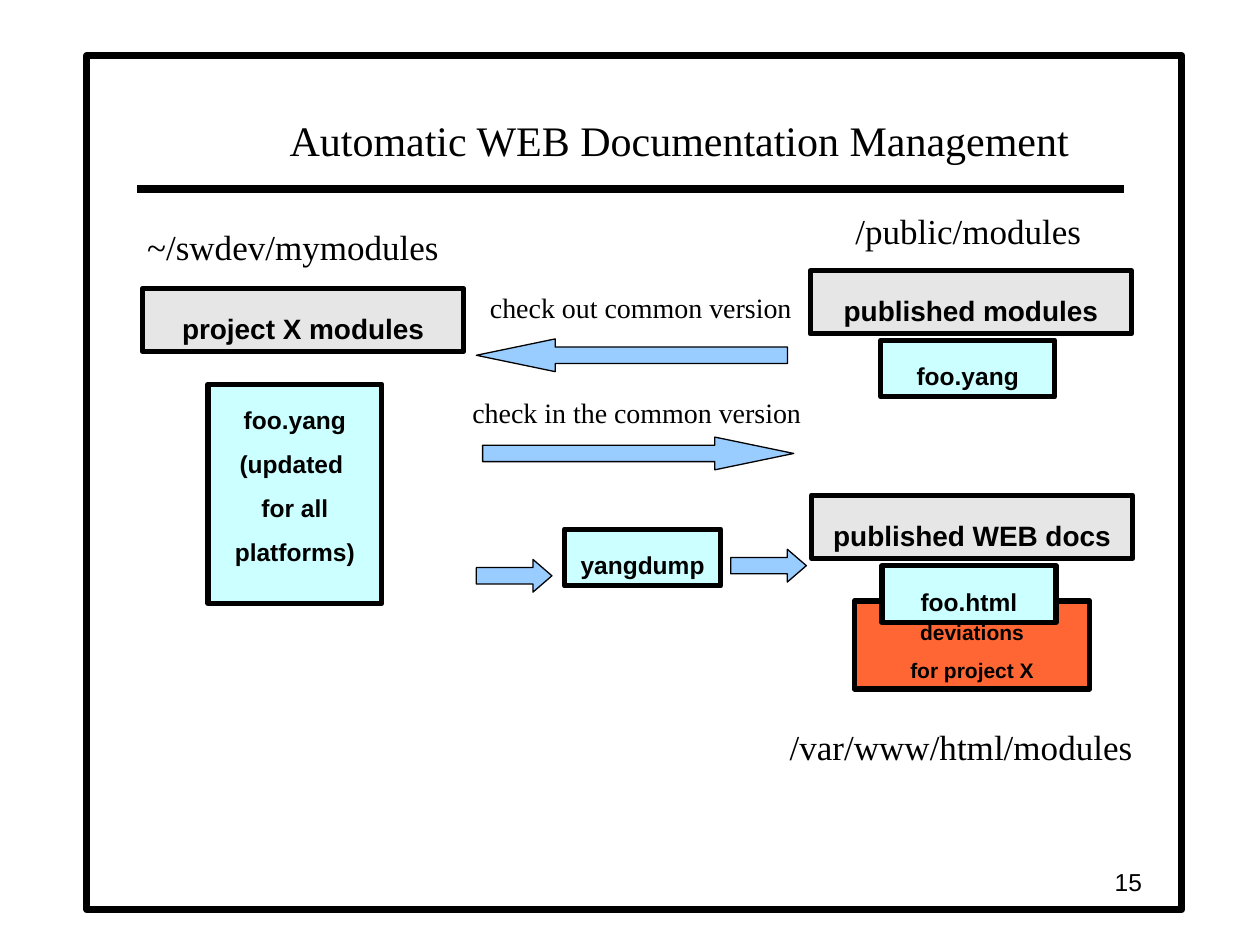
from lxml.etree import SubElement
from pptx import Presentation
from pptx.dml.color import RGBColor
from pptx.enum.shapes import MSO_CONNECTOR, MSO_SHAPE as SHAPE
from pptx.enum.text import MSO_ANCHOR as ANCHOR, PP_ALIGN as ALIGN
from pptx.oxml.ns import qn
from pptx.util import Pt

COLORS = {
    "ink": "000000",
    "paper": "FFFFFF",
    "header": "E6E6E6",
    "file": "CCFFFF",
    "deviation": "FF6633",
    "arrow": "99CCFF",
}
SANS, SERIF = "Arial", "Times New Roman"


def rgb(name):
    return RGBColor.from_string(COLORS[name])


def set_text(sp, text, size, font, bold=False, align=ALIGN.LEFT, spacing=None):
    p = sp.text_frame.paragraphs[0]
    p.text = text
    p.alignment = align
    p.line_spacing = spacing
    for r in p.runs:
        r.font.size, r.font.name, r.font.bold = Pt(size), font, bold
        r.font.color.rgb = rgb("ink")


def add_shape(s, kind, x, y, w, h, fill, line):
    sp = s.shapes.add_shape(kind, Pt(x), Pt(y), Pt(w), Pt(h))
    sp.shadow.inherit = False
    sp.fill.solid()
    sp.fill.fore_color.rgb = rgb(fill)
    sp.line.color.rgb = rgb("ink")
    sp.line.width = Pt(line)
    return sp


def add_box(s, text, x, y, w, h, fill="file", size=14):
    sp = add_shape(s, SHAPE.RECTANGLE, x, y, w, h, fill, 3)
    sp.text_frame.vertical_anchor = ANCHOR.TOP
    set_text(sp, text, size, SANS, True, ALIGN.CENTER, 1.5)


def add_header(s, text, x, y):
    add_box(s, text, x, y, 183.6, 36, "header", 16)


def add_arrow(s, kind, x, y, w, head):
    sp = add_shape(s, kind, x, y, w, 18.7, "arrow", 0)
    sp.adjustments[0] = 0.5
    sp.adjustments[1] = head


def add_label(s, text, x, y, w, h, size, font=SERIF, align=ALIGN.LEFT):
    sp = s.shapes.add_textbox(Pt(x), Pt(y), Pt(w), Pt(h))
    sp.text_frame.word_wrap = align == ALIGN.RIGHT
    set_text(sp, text, size, font, align=align)
    return sp


def add_rule(s, x1, x2, y):
    line = s.shapes.add_connector(MSO_CONNECTOR.STRAIGHT, Pt(x1), Pt(y), Pt(x2), Pt(y))
    line.line.color.rgb = rgb("ink")
    line.line.width = Pt(4.5)
    SubElement(line._element.spPr, qn("a:effectLst"))


def main():
    prs = Presentation()
    prs.slide_width, prs.slide_height = Pt(720), Pt(540)
    s = prs.slides.add_slide(prs.slide_layouts[6])

    # Frame and title
    add_shape(s, SHAPE.RECTANGLE, 49.7, 31.7, 625.7, 488.2, "paper", 4)
    add_rule(s, 78.5, 642.2, 108)
    add_label(s, "Automatic WEB Documentation Management", 158.4, 62, 460.8, 36, 24)

    # Project modules
    add_label(s, "~/swdev/mymodules", 77, 125.3, 181.4, 31, 20)
    add_header(s, "project X modules", 81.4, 164.9)
    add_box(s, "foo.yang\v(updated \vfor all platforms)", 118.8, 219.6, 99.4, 125.3)

    # Published modules
    add_label(s, "/public/modules", 481.7, 115.9, 143.3, 31, 20)
    add_header(s, "published modules", 463, 154.8)
    add_box(s, "foo.yang", 503.3, 194.4, 99.4, 32.4)

    # Check out and check in
    add_label(s, "check out common version", 272.9, 162.7, 187.2, 26.6, 16)
    add_arrow(s, SHAPE.LEFT_ARROW, 272.2, 193.7, 177.8, 2.41)
    add_label(s, "check in the common version", 262.8, 222.5, 202.3, 26.6, 16)
    add_arrow(s, SHAPE.RIGHT_ARROW, 275.8, 249.8, 177.8, 2.41)

    # Conversion to WEB docs
    add_arrow(s, SHAPE.RIGHT_ARROW, 272.2, 319.7, 43.2, 0.58)
    add_box(s, "yangdump", 322.6, 302.4, 89.3, 32.4)
    add_arrow(s, SHAPE.RIGHT_ARROW, 417.6, 313.9, 43.2, 0.58)

    # Published WEB docs, with foo.html over the deviations
    add_header(s, "published WEB docs", 463.7, 283)
    add_box(s, "deviations\vfor project X", 488.2, 343.4, 134.6, 50.4, "deviation", 12)
    add_box(s, "foo.html", 504, 323.3, 99.4, 32.4)
    add_label(s, "/var/www/html/modules", 444.2, 411.1, 210.2, 31, 20)

    # Page number
    number = add_label(s, "15", 509.8, 491.8, 149.8, 23.8, 14, SANS, ALIGN.RIGHT)
    number.text_frame.vertical_anchor = ANCHOR.MIDDLE

    prs.save("out.pptx")


if __name__ == "__main__":
    main()
